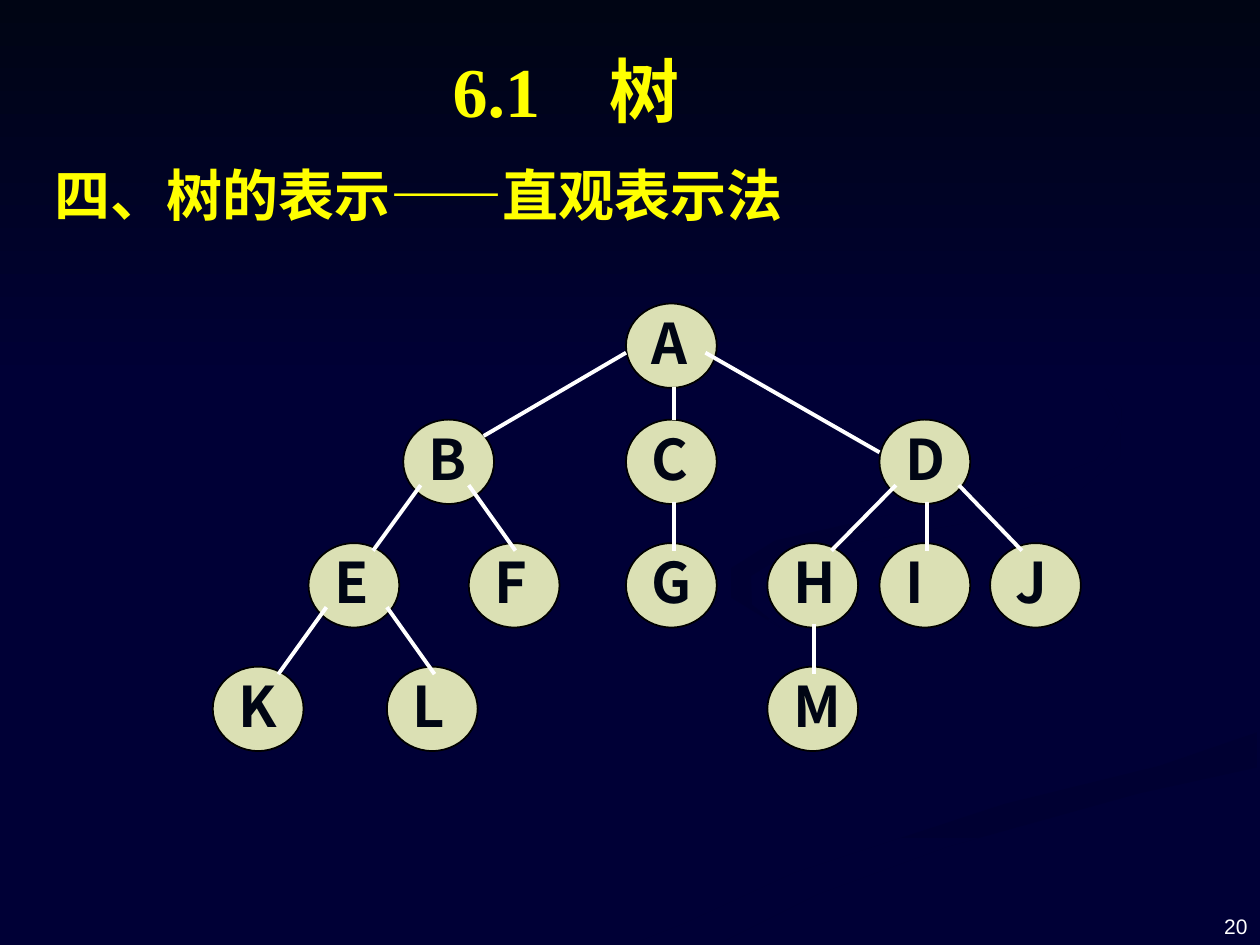
"""Build a slide that shows a tree drawn as linked nodes."""
from lxml import etree
from pptx import Presentation
from pptx.dml.color import RGBColor
from pptx.enum import shapes, text
from pptx.oxml.ns import qn
from pptx.util import Cm, Pt


def rgb(code):
    return RGBColor.from_string(code)


def style(frame, face, size, code, bold=True):
    for run in frame.paragraphs[0].runs:
        font = run.font
        font.name, font.size, font.bold = face, Pt(size), bold
        font.color.rgb = rgb(code)
        etree.SubElement(font._element, qn("a:ea"), typeface="Noto Sans CJK SC")


deck = Presentation()
deck.slide_width, deck.slide_height = Cm(25.4), Cm(19.05)
slide = deck.slides.add_slide(deck.slide_layouts[1])
slide.background.fill.solid()
slide.background.fill.fore_color.rgb = rgb("000036")

streak = [(12.78, 19.02), (14.5, 19.02), (16.48, 18.03), (19.1, 17.07), (22.94, 16),
          (25.35, 15.47), (25.35, 14.76), (23.37, 15.44), (20.24, 16.21),
          (16, 17.6), (13.79, 18.62)]
swirl = [(17.35, 10.92), (19.96, 10.46), (21.72, 9.93), (22.58, 9.2), (22.61, 8.23),
         (21.95, 7.39), (20.29, 6.35), (19.35, 5.92), (20.98, 6.76), (22.25, 7.77),
         (22.58, 8.51), (22.1, 9.27), (20.78, 9.8), (17.88, 10.39), (15.62, 10.9),
         (14.73, 11.46), (14.73, 12.04), (15.8, 12.7), (15.16, 12.19), (15.14, 11.61),
         (15.85, 11.18)]
arc = [(19.84, 14.05), (17.32, 13.18), (15.29, 12.45), (14.58, 11.79), (14.48, 12),
       (15.06, 12.57), (17.25, 13.31), (19.56, 14.05), (19.96, 14.38), (19.66, 14.81),
       (17.37, 15.57), (13.69, 16.48), (10.59, 17.53), (7.62, 19.02), (9.17, 19.02),
       (12.67, 17.45), (16.54, 16.26), (19.81, 15.37), (20.32, 14.76)]
page = [(0, 0), (0, 7.82), (25.4, 7.82), (25.4, 0)]
back = [(arc, "000036", "000034", 0), (streak, "000032", "000036", 270),
        (swirl, "000032", "000036", 315), (page, "000514", "000036", 270)]
for dots, first, last, turn in back:
    dots = [(Cm(x), Cm(y)) for x, y in dots]
    pen = slide.shapes.build_freeform(*dots[0])
    pen.add_line_segments(dots[1:])
    shape = pen.convert_to_shape()
    shape.shadow.inherit = False
    shape.line.fill.background()
    shape.fill.gradient()
    shape.fill.gradient_angle = turn
    for stop, code, place in zip(shape.fill.gradient_stops, (first, last), (0, 1)):
        stop.color.rgb = rgb(code)
        stop.position = place

rows = [
    (6.12, {"A": 12.62}),
    (8.46, {"B": 8.13, "C": 12.62, "D": 17.73}),
    (10.95, {"E": 6.22, "F": 9.45, "G": 12.62, "H": 15.47, "I": 17.73, "J": 19.96}),
    (13.44, {"K": 4.29, "L": 7.8, "M": 15.47}),
]
for top, nodes in rows:
    for name, left in nodes.items():
        node = slide.shapes.add_shape(shapes.MSO_SHAPE.OVAL, Cm(left), Cm(top),
                                      Cm(1.83), Cm(1.7))
        node.shadow.inherit = False
        node.fill.solid()
        node.fill.fore_color.rgb = rgb("DBE0B4")
        node.line.color.rgb = rgb("000000")
        node.line.width = Pt(1)
        frame = node.text_frame
        frame.text = name
        frame.margin_left, frame.margin_right = Cm(0.25), Cm(0)
        frame.margin_top, frame.margin_bottom = Cm(0), Cm(0.15)
        frame.vertical_anchor = text.MSO_ANCHOR.MIDDLE
        frame.paragraphs[0].alignment = text.PP_ALIGN.LEFT
        style(frame, "Noto Sans CJK SC", 32, "000514")

links = [
    (12.62, 7.11, 9.75, 8.79), (13.59, 7.8, 13.59, 8.46), (14.22, 7.11, 17.73, 9.12),
    (8.48, 9.78, 7.52, 11.1), (9.45, 9.78, 10.39, 11.1), (13.59, 10.11, 13.59, 11.1),
    (18.06, 9.78, 16.76, 11.1), (18.69, 10.11, 18.69, 11.1), (19.33, 9.78, 20.6, 11.1),
    (6.58, 12.24, 5.61, 13.59), (7.8, 12.24, 8.76, 13.59), (16.41, 12.57, 16.41, 13.59),
]
for ends in links:
    link = slide.shapes.add_connector(shapes.MSO_CONNECTOR.STRAIGHT, *map(Cm, ends))
    link.line.color.rgb = rgb("FFFFFF")
    link.line.width = Pt(2.25)
    etree.SubElement(link._element.spPr, qn("a:effectLst"))

title, body = slide.shapes.title, slide.placeholders[1]
num = slide.shapes.add_textbox(0, 0, 0, 0)
left, mid, right = text.PP_ALIGN.LEFT, text.PP_ALIGN.CENTER, text.PP_ALIGN.RIGHT
high, low = text.MSO_ANCHOR.TOP, text.MSO_ANCHOR.BOTTOM
labels = [
    (title, "6.1　树", (5.28, 0.84, 12.27, 1.96), mid, high, "Times New Roman", 40, "FFFF00"),
    (body, "四、树的表示——直观表示法", (0.84, 3.1, 19.23, 1.6), left, high,
     "Times New Roman", 32, "FFFF00"),
    (num, "20", (19.48, 17.73, 5.92, 1.32), right, low, "Arial", 12, "FFFFFF"),
]
for box, words, spot, side, hold, face, size, code in labels:
    box.left, box.top, box.width, box.height = map(Cm, spot)
    frame = box.text_frame
    frame.text = words
    frame.word_wrap = True
    frame.auto_size = text.MSO_AUTO_SIZE.NONE
    frame.vertical_anchor = hold
    para = frame.paragraphs[0]
    para.alignment = side
    para.space_before = Pt(0)
    style(frame, face, size, code, box is not num)
    slide.shapes._spTree.append(box._element)

props = body.text_frame.paragraphs[0]._p.get_or_add_pPr()
props.set("marL", "0")
props.set("indent", "0")
etree.SubElement(props, qn("a:buNone"))

deck.save("out.pptx")
